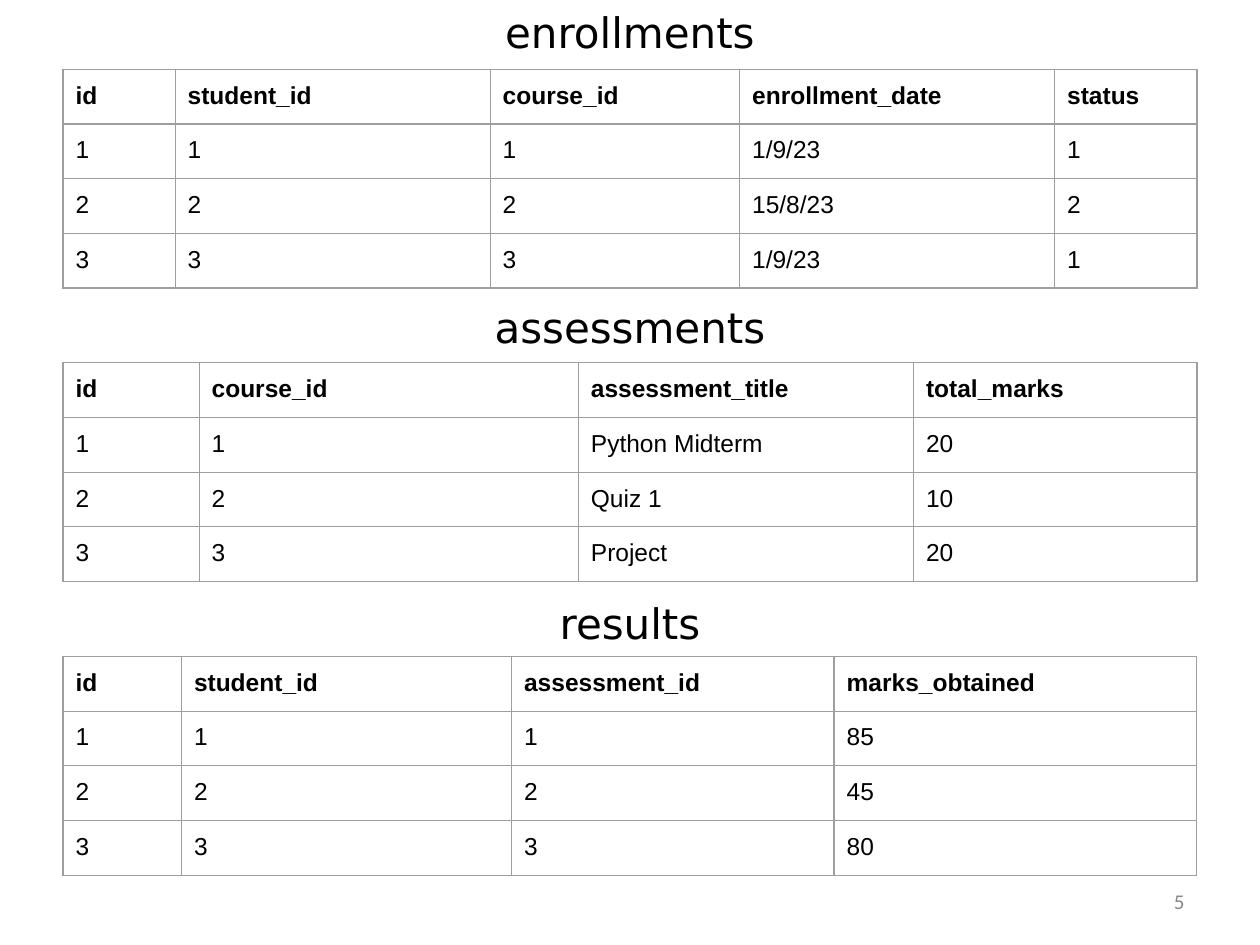
import pptx
import pptx.dml.color
import pptx.enum.text
import pptx.oxml
import pptx.oxml.ns
import pptx.util
from pptx.util import Inches

COLORS = {"text": "000000", "border": "9E9E9E", "number": "888888"}
ROW_HEIGHT = 0.42
SECTION_PITCH = 2.33
HEADING_GAP = 140
SECTIONS = [
    ("enrollments", [0.89, 2.5, 1.98, 2.5, 1.13], [
        ["id", "student_id", "course_id", "enrollment_date", "status"],
        ["1", "1", "1", "1/9/23", "1"],
        ["2", "2", "2", "15/8/23", "2"],
        ["3", "3", "3", "1/9/23", "1"],
    ]),
    ("assessments", [1.08, 3.01, 2.66, 2.25], [
        ["id", "course_id", "assessment_title", "total_marks"],
        ["1", "1", "Python Midterm", "20"],
        ["2", "2", "Quiz 1", "10"],
        ["3", "3", "Project", "20"],
    ]),
    ("results", [0.94, 2.62, 2.56, 2.88], [
        ["id", "student_id", "assessment_id", "marks_obtained"],
        ["1", "1", "1", "85"],
        ["2", "2", "2", "45"],
        ["3", "3", "3", "80"],
    ]),
]


def set_font(paragraph, name, size, color, bold=False):
    """Format all text of a paragraph."""
    font = paragraph.font
    font.name, font.size, font.bold = name, pptx.util.Pt(size), bold
    font.color.rgb = pptx.dml.color.RGBColor.from_string(COLORS[color])


def add_borders(cell):
    """Draw a thin line on each side of a table cell."""
    properties = cell._tc.get_or_add_tcPr()
    for index, side in enumerate("LRTB"):
        properties.insert(index, pptx.oxml.parse_xml(
            f'<a:ln{side} {pptx.oxml.ns.nsdecls("a")} w="{pptx.util.Pt(0.75)}">'
            f'<a:solidFill><a:srgbClr val="{COLORS["border"]}"/></a:solidFill></a:ln{side}>'))


def add_headings(slide, left, top, width, height):
    """Put the table names in the body placeholder, one above each table."""
    body = slide.placeholders[1]
    body.left, body.top, body.width, body.height = map(Inches, (left, top, width, height))
    frame = body.text_frame
    frame.auto_size = pptx.enum.text.MSO_AUTO_SIZE.NONE
    frame.text = "\n".join(name for name, _, _ in SECTIONS)
    for index, paragraph in enumerate(frame.paragraphs):
        paragraph.alignment = pptx.enum.text.PP_ALIGN.CENTER
        paragraph.space_before = pptx.util.Pt(HEADING_GAP if index else 4.8)
        set_font(paragraph, "DejaVu Sans", 24, "text")
        properties = paragraph._p.get_or_add_pPr()
        properties.set("marL", "0")
        properties.set("indent", "0")
        bullet = pptx.oxml.parse_xml(f'<a:buNone {pptx.oxml.ns.nsdecls("a")}/>')
        properties.find(pptx.oxml.ns.qn("a:spcBef")).addnext(bullet)


def add_data_table(slide, left, top, widths, rows):
    """Add a ruled table with a bold first row."""
    frame = slide.shapes.add_table(
        len(rows), len(widths), Inches(left), Inches(top),
        Inches(sum(widths)), Inches(ROW_HEIGHT * len(rows)))
    table = frame.table
    table.horz_banding = False
    for column, width in zip(table.columns, widths):
        column.width = Inches(width)
    for row_index, values in enumerate(rows):
        table.rows[row_index].height = Inches(ROW_HEIGHT)
        for column_index, value in enumerate(values):
            cell = table.cell(row_index, column_index)
            cell.text = value
            cell.margin_left = cell.margin_right = Inches(0.1)
            cell.margin_top = cell.margin_bottom = Inches(0.1)
            cell.fill.background()
            add_borders(cell)
            set_font(cell.text_frame.paragraphs[0], "Arial", 14, "text", row_index == 0)


def add_page_number(slide, left, top, width, height):
    """Add the page number at the right of its box."""
    box = slide.shapes.add_textbox(*map(Inches, (left, top, width, height)))
    frame = box.text_frame
    frame.word_wrap = True
    frame.vertical_anchor = pptx.enum.text.MSO_ANCHOR.MIDDLE
    frame.text = "5"
    paragraph = frame.paragraphs[0]
    paragraph.alignment = pptx.enum.text.PP_ALIGN.RIGHT
    set_font(paragraph, "Calibri", 12, "number")


def main():
    """Build the slide with its three tables."""
    presentation = pptx.Presentation()
    presentation.slide_width, presentation.slide_height = Inches(10), Inches(7.5)
    slide = presentation.slides.add_slide(presentation.slide_layouts[1])
    title = slide.shapes.title.element
    title.getparent().remove(title)
    add_headings(slide, 0, 0, 10, 7.5)
    add_page_number(slide, 7.17, 6.95, 2.33, 0.4)
    for index, (_, widths, rows) in enumerate(SECTIONS):
        add_data_table(slide, 0.5, 0.55 + index * SECTION_PITCH, widths, rows)
    presentation.save("out.pptx")


if __name__ == "__main__":
    main()
